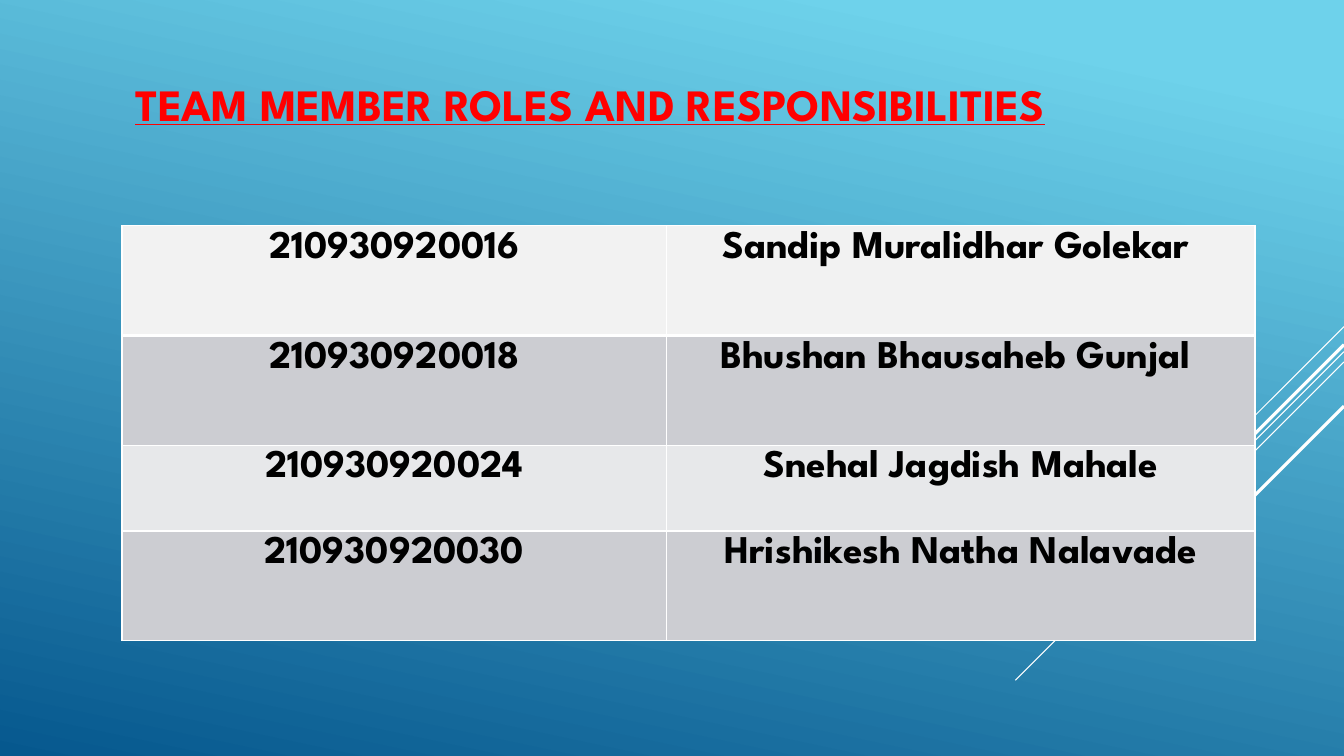
"""Build the slide of team member roles and responsibilities."""
from dataclasses import dataclass

from lxml.etree import SubElement
from pptx import Presentation
from pptx.dml.color import RGBColor
from pptx.enum.shapes import MSO_CONNECTOR
from pptx.enum.text import MSO_ANCHOR, PP_ALIGN
from pptx.oxml.ns import qn
from pptx.slide import Slide
from pptx.table import _Cell
from pptx.text.text import TextFrame
from pptx.util import Inches, Pt

WIDTH, HEIGHT = Inches(13.33), Inches(7.5)
FONT = "League Spartan"
WHITE = "FFFFFF"
COLUMNS = (40.5, 43.8)


@dataclass(frozen=True)
class Ray:
    top: float
    reach: float
    weight: float


@dataclass(frozen=True)
class Member:
    number: str
    name: str
    fill: str
    height: float = 14.53


RAYS = (
    Ray(43.2, 7.5, 0.75),
    Ray(46.53, 24.45, 0.75),
    Ray(47.87, 15.55, 0.75),
    Ray(45.6, 14.33, 2.25),
    Ray(53.73, 10.43, 2.25),
)
MEMBERS = (
    Member("210930920016", "Sandip Muralidhar Golekar ", "F2F2F2"),
    Member("210930920018", "Bhushan Bhausaheb Gunjal ", "CCCDD2"),
    Member("210930920024", "Snehal Jagdish Mahale", "E7E8EA", 11.33),
    Member("210930920030", "Hrishikesh Natha Nalavade", "CCCDD2"),
)


def across(percent: float) -> int:
    return round(WIDTH * percent / 100)


def down(percent: float) -> int:
    return round(HEIGHT * percent / 100)


def color(code: str) -> RGBColor:
    return RGBColor.from_string(code)


def write(frame: TextFrame, text: str, *, size: float, ink: str, underline: bool = False) -> None:
    paragraph = frame.paragraphs[0]
    paragraph.alignment = PP_ALIGN.CENTER
    run = paragraph.add_run()
    run.text = text
    run.font.name = FONT
    run.font.size = Pt(size)
    run.font.bold = True
    run.font.underline = underline
    run.font.color.rgb = color(ink)


def paint_background(slide: Slide) -> None:
    fill = slide.background.fill
    fill.gradient()
    fill.gradient_angle = 360 - 102
    for stop, (position, code) in zip(fill.gradient_stops, ((0.1, "6ED2EB"), (1, "06588E"))):
        stop.position = position
        stop.color.rgb = color(code)


def draw_ray(slide: Slide, ray: Ray) -> None:
    run, top = across(ray.reach), down(ray.top)
    line = slide.shapes.add_connector(MSO_CONNECTOR.STRAIGHT, WIDTH, top, WIDTH - run, top + run)
    line.line.color.rgb = color(WHITE)
    line.line.width = Pt(ray.weight)
    SubElement(line._element.spPr, qn("a:effectLst"))


def draw_title(slide: Slide) -> None:
    title = slide.shapes.add_textbox(across(5.33), down(6.67), across(77.2), down(14.13))
    title.text_frame.word_wrap = True
    title.text_frame.vertical_anchor = MSO_ANCHOR.MIDDLE
    write(title.text_frame, "TEAM MEMBER ROLES AND RESPONSIBILITIES",
          size=32, ink="FF0000", underline=True)


def border(cell: _Cell, top: float, bottom: float) -> None:
    properties = cell._tc.get_or_add_tcPr()
    for side, weight in (("L", 1), ("R", 1), ("T", top), ("B", bottom)):
        edge = SubElement(properties, qn(f"a:ln{side}"), w=str(Pt(weight)))
        SubElement(SubElement(edge, qn("a:solidFill")), qn("a:srgbClr"), val=WHITE)


def draw_members(slide: Slide) -> None:
    height = sum(member.height for member in MEMBERS)
    table = slide.shapes.add_table(len(MEMBERS), len(COLUMNS), across(9.08), down(29.87),
                                   across(sum(COLUMNS)), down(height)).table
    table.first_row = table.horz_banding = False
    for column, share in zip(table.columns, COLUMNS):
        column.width = across(share)
    for index, (row, member) in enumerate(zip(table.rows, MEMBERS)):
        row.height = down(member.height)
        for cell, text in zip(row.cells, (member.number, member.name)):
            border(cell, top=3 if index == 1 else 1, bottom=3 if index == 0 else 1)
            cell.fill.solid()
            cell.fill.fore_color.rgb = color(member.fill)
            write(cell.text_frame, text, size=28, ink="000000")


def main() -> None:
    deck = Presentation()
    deck.slide_width, deck.slide_height = WIDTH, HEIGHT
    slide = deck.slides.add_slide(deck.slide_layouts[6])
    paint_background(slide)
    for ray in RAYS:
        draw_ray(slide, ray)
    draw_title(slide)
    draw_members(slide)
    deck.save("out.pptx")


if __name__ == "__main__":
    main()
